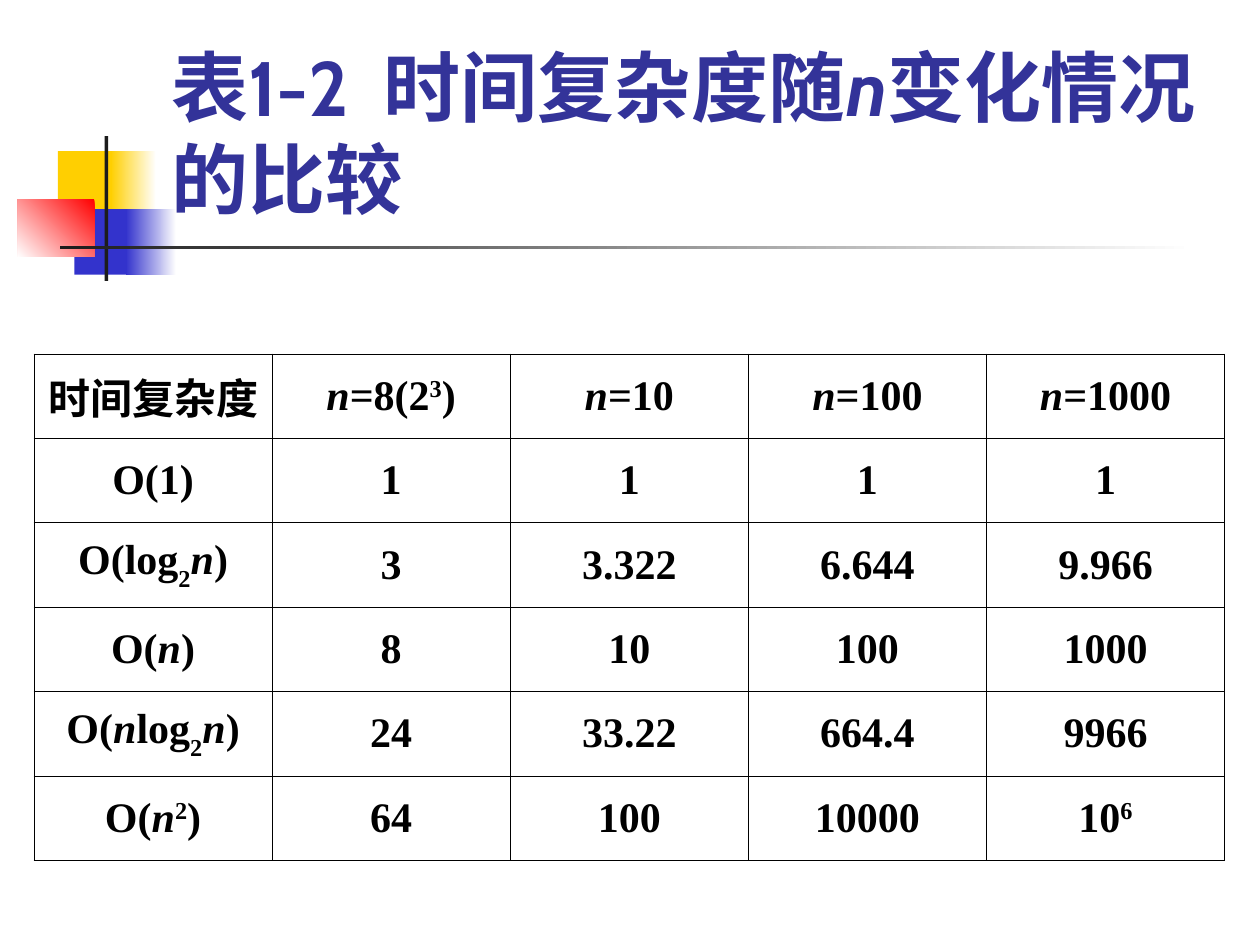
"""Build a slide with a table of time complexity growth as n changes."""
from dataclasses import dataclass

from lxml.etree import SubElement
from pptx import Presentation
from pptx.dml.color import RGBColor
from pptx.enum.shapes import MSO_SHAPE
from pptx.enum.text import MSO_ANCHOR, MSO_AUTO_SIZE, PP_ALIGN
from pptx.oxml.ns import qn
from pptx.util import Inches, Pt


@dataclass(frozen=True)
class Theme:
    gold: str = "FFCF01"
    blue: str = "3333CC"
    red: str = "FF0000"
    dark: str = "1C1C1C"
    white: str = "FFFFFF"
    title: str = "333399"
    text: str = "000000"
    head_font: str = "Cabin"
    cell_font: str = "Times New Roman"
    head_size: int = 44
    cell_size: int = 24
    rule: float = 0.45


theme = Theme()
MARKS = {"^": "30000", "~": "-30000"}


def write_runs(par, text, font, size, color):
    """Split text at bars; a leading / is italic, ^ is raised, ~ is lowered."""
    for part in text.split("|"):
        mark = part[0]
        run = par.add_run()
        run.text = part[1:] if mark in "/^~" else part
        run.font.name = font
        run.font.size = Pt(size)
        run.font.bold = True
        run.font.italic = mark == "/"
        run.font.color.rgb = RGBColor.from_string(color)
        if mark in MARKS:
            run.font._element.set("baseline", MARKS[mark])


def draw_border(cell):
    """Give a cell a thin line on all four sides."""
    props = cell._tc.get_or_add_tcPr()
    for side in ("lnL", "lnR", "lnT", "lnB"):
        line = SubElement(props, qn(f"a:{side}"), w=str(Pt(theme.rule)))
        fill = SubElement(line, qn("a:solidFill"))
        SubElement(fill, qn("a:srgbClr"), val=theme.text)


deck = Presentation()
deck.slide_width = Inches(10)
deck.slide_height = Inches(7.5)
slide = deck.slides.add_slide(deck.slide_layouts[5])

blocks = [
    (0.46, 1.2, 0.48, 0.52, [theme.gold], 0),
    (0.88, 1.2, 0.36, 0.52, [theme.white, theme.gold], 180),
    (0.59, 1.66, 0.46, 0.52, [theme.blue], 0),
    (1, 1.66, 0.4, 0.52, [theme.white, theme.blue], 180),
    (0.14, 1.58, 0.61, 0.46, [theme.red, theme.white], 225),
    (0.83, 1.08, 0.03, 1.15, [theme.dark], 0),
    (0.48, 1.95, 9, 0.03, [theme.white, theme.dark], 180),
]
for left, top, width, height, colors, angle in blocks:
    block = slide.shapes.add_shape(
        MSO_SHAPE.RECTANGLE,
        Inches(left), Inches(top), Inches(width), Inches(height))
    block.shadow.inherit = False
    block.line.fill.background()
    if len(colors) == 1:
        block.fill.solid()
        block.fill.fore_color.rgb = RGBColor.from_string(colors[0])
    else:
        block.fill.gradient()
        block.fill.gradient_angle = angle
        for stop, color in zip(block.fill.gradient_stops, colors):
            stop.color.rgb = RGBColor.from_string(color)

title = slide.shapes.title
title.element.getparent().append(title.element)
title.left, title.top = Inches(1.26), Inches(0.91)
title.width, title.height = Inches(8.52), Inches(0.92)
frame = title.text_frame
frame.word_wrap = True
frame.auto_size = MSO_AUTO_SIZE.NONE
frame.vertical_anchor = MSO_ANCHOR.BOTTOM
frame.paragraphs[0].alignment = PP_ALIGN.LEFT
write_runs(frame.paragraphs[0], "表1-2  时间复杂度随|/n|变化情况的比较",
           theme.head_font, theme.head_size, theme.title)

rows = [
    ["时间复杂度", "/n|=8(2|^3|)", "/n|=10", "/n|=100", "/n|=1000"],
    ["O(1)", "1", "1", "1", "1"],
    ["O(log|~2|/n|)", "3", "3.322", "6.644", "9.966"],
    ["O(|/n|)", "8", "10", "100", "1000"],
    ["O(|/n|log|~2|/n|)", "24", "33.22", "664.4", "9966"],
    ["O(|/n|^2|)", "64", "100", "10000", "10|^6"],
]
table = slide.shapes.add_table(
    len(rows), len(rows[0]),
    Inches(0.27), Inches(2.81), Inches(9.45), Inches(4.02)).table
table.first_row = False
table.horz_banding = False
for row, texts in zip(table.rows, rows):
    for cell, text in zip(row.cells, texts):
        draw_border(cell)
        cell.fill.background()
        cell.vertical_anchor = MSO_ANCHOR.MIDDLE
        par = cell.text_frame.paragraphs[0]
        par.alignment = PP_ALIGN.CENTER
        write_runs(par, text, theme.cell_font, theme.cell_size, theme.text)

deck.save("out.pptx")
